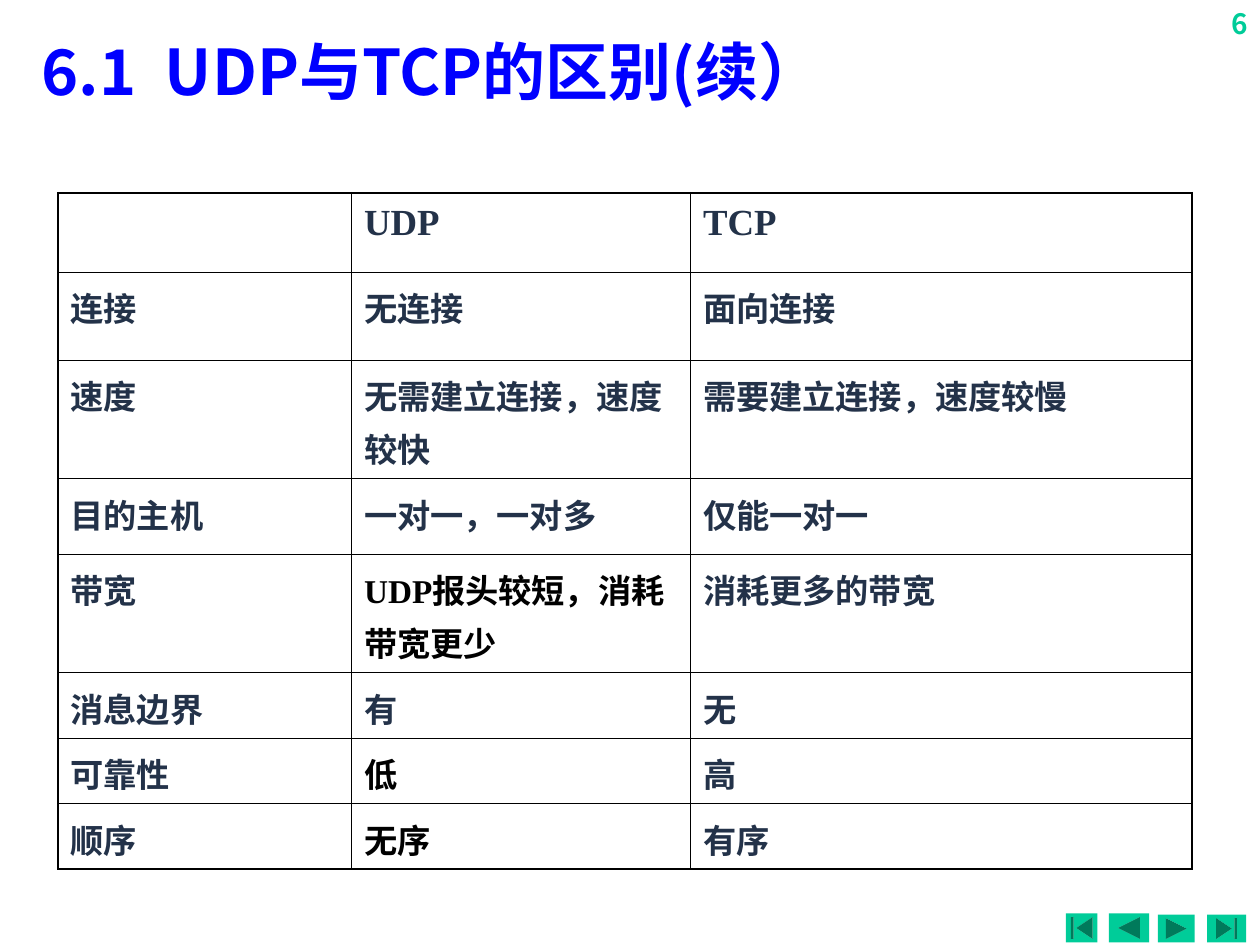
from typing import NamedTuple

from lxml.etree import SubElement
from pptx import Presentation
from pptx.dml.color import RGBColor
from pptx.enum.shapes import MSO_SHAPE
from pptx.enum.text import MSO_ANCHOR, PP_ALIGN
from pptx.oxml.ns import qn
from pptx.util import Inches, Pt

GREEN = "00CC99"
BLUE = "0000FF"
NAVY = "233249"
BLACK = "000000"
CJK_FONT = "Noto Sans CJK SC"
THIN, THICK = 0.45, 1.08


class NavigationButton(NamedTuple):
    preset: MSO_SHAPE
    left: float
    top: float
    width: float
    height: float


class ComparisonRow(NamedTuple):
    height: float
    aspect: str
    udp: str
    tcp: str
    udp_color: str = NAVY


BUTTONS = [
    NavigationButton(MSO_SHAPE.ACTION_BUTTON_BEGINNING, 8.46, 7.25, 0.25, 0.23),
    NavigationButton(MSO_SHAPE.ACTION_BUTTON_BACK_OR_PREVIOUS, 8.8, 7.25, 0.32, 0.23),
    NavigationButton(MSO_SHAPE.ACTION_BUTTON_FORWARD_OR_NEXT, 9.19, 7.26, 0.29, 0.22),
    NavigationButton(MSO_SHAPE.ACTION_BUTTON_END, 9.58, 7.26, 0.31, 0.22),
]
COLUMN_WIDTHS = [2.33, 2.69, 3.98]
# Heights that hold one or two lines of text with the cell margins
ONE_LINE, TWO_LINES = 0.52, 0.94
ROWS = [
    ComparisonRow(0.63, "", "UDP", "TCP"),
    ComparisonRow(0.7, "连接", "无连接", "面向连接"),
    ComparisonRow(TWO_LINES, "速度", "无需建立连接，速度较快", "需要建立连接，速度较慢"),
    ComparisonRow(0.6, "目的主机", "一对一，一对多", "仅能一对一"),
    ComparisonRow(TWO_LINES, "带宽", "UDP报头较短，消耗带宽更少", "消耗更多的带宽", BLACK),
    ComparisonRow(ONE_LINE, "消息边界", "有", "无"),
    ComparisonRow(ONE_LINE, "可靠性", "低", "高", BLACK),
    ComparisonRow(ONE_LINE, "顺序", "无序", "有序", BLACK),
]


def rgb(color: str) -> RGBColor:
    return RGBColor.from_string(color)


def format_runs(paragraph, size: float, color: str, font: str) -> None:
    for run in paragraph.runs:
        run.font.size = Pt(size)
        run.font.bold = True
        run.font.name = font
        run.font.color.rgb = rgb(color)
        # Chinese characters take the East Asian typeface
        east_asian = CJK_FONT if font == "Times New Roman" else font
        SubElement(run.font._element, qn("a:ea"), typeface=east_asian)


def add_title(slide, text: str) -> None:
    title = slide.shapes.title
    title.left, title.top = Inches(0.23), Inches(0.19)
    title.width, title.height = Inches(9.52), Inches(0.74)
    title.text_frame.text = text
    title.text_frame.vertical_anchor = MSO_ANCHOR.MIDDLE
    paragraph = title.text_frame.paragraphs[0]
    paragraph.alignment = PP_ALIGN.LEFT
    format_runs(paragraph, 36, BLUE, CJK_FONT)


def add_page_number(slide, number: str) -> None:
    box = slide.shapes.add_textbox(Inches(9.45), 0, Inches(0.55), Inches(0.4))
    box.text_frame.word_wrap = True
    box.text_frame.text = number
    paragraph = box.text_frame.paragraphs[0]
    paragraph.alignment = PP_ALIGN.RIGHT
    format_runs(paragraph, 16, GREEN, "Noto Sans CJK KR")


def add_button(slide, button: NavigationButton) -> None:
    shape = slide.shapes.add_shape(button.preset, *map(Inches, button[1:]))
    shape.shadow.inherit = False
    shape.fill.solid()
    shape.fill.fore_color.rgb = rgb(GREEN)
    shape.line.fill.background()


def set_borders(cell, left: float, right: float, top: float, bottom: float) -> None:
    properties = cell._tc.get_or_add_tcPr()
    for side, width in zip("LRTB", (left, right, top, bottom)):
        line = SubElement(properties, qn(f"a:ln{side}"), w=str(Pt(width)))
        fill = SubElement(line, qn("a:solidFill"))
        SubElement(fill, qn("a:srgbClr"), val=BLACK)


def add_comparison_table(slide) -> None:
    last_row, last_column = len(ROWS) - 1, len(COLUMN_WIDTHS) - 1
    frame = slide.shapes.add_table(
        len(ROWS), len(COLUMN_WIDTHS), Inches(0.46), Inches(1.53),
        Inches(sum(COLUMN_WIDTHS)), Inches(sum(row.height for row in ROWS)))
    table = frame.table
    table.first_row = False
    table.horz_banding = False
    for column, width in zip(table.columns, COLUMN_WIDTHS):
        column.width = Inches(width)

    for row_index, row in enumerate(ROWS):
        table.rows[row_index].height = Inches(row.height)
        for column_index, text in enumerate((row.aspect, row.udp, row.tcp)):
            cell = table.cell(row_index, column_index)
            # Heavier lines run around the outside of the table
            set_borders(
                cell,
                left=THICK if column_index == 0 else THIN,
                right=THICK if column_index == last_column else THIN,
                top=THICK if row_index == 0 else THIN,
                bottom=THICK if row_index == last_row else THIN)
            cell.fill.background()
            cell.text_frame.text = text
            paragraph = cell.text_frame.paragraphs[0]
            paragraph.line_spacing = 1.1
            format_runs(paragraph, 21 if row_index == 0 else 19,
                        row.udp_color if column_index == 1 else NAVY,
                        "Times New Roman")


def main() -> None:
    presentation = Presentation()
    presentation.slide_width = Inches(10)
    presentation.slide_height = Inches(7.5)
    slide = presentation.slides.add_slide(presentation.slide_layouts[5])

    # Page number and navigation
    add_page_number(slide, "6")
    for button in BUTTONS:
        add_button(slide, button)

    # Title and comparison
    add_title(slide, "6.1  UDP与TCP的区别(续）")
    add_comparison_table(slide)

    presentation.save("out.pptx")


if __name__ == "__main__":
    main()
